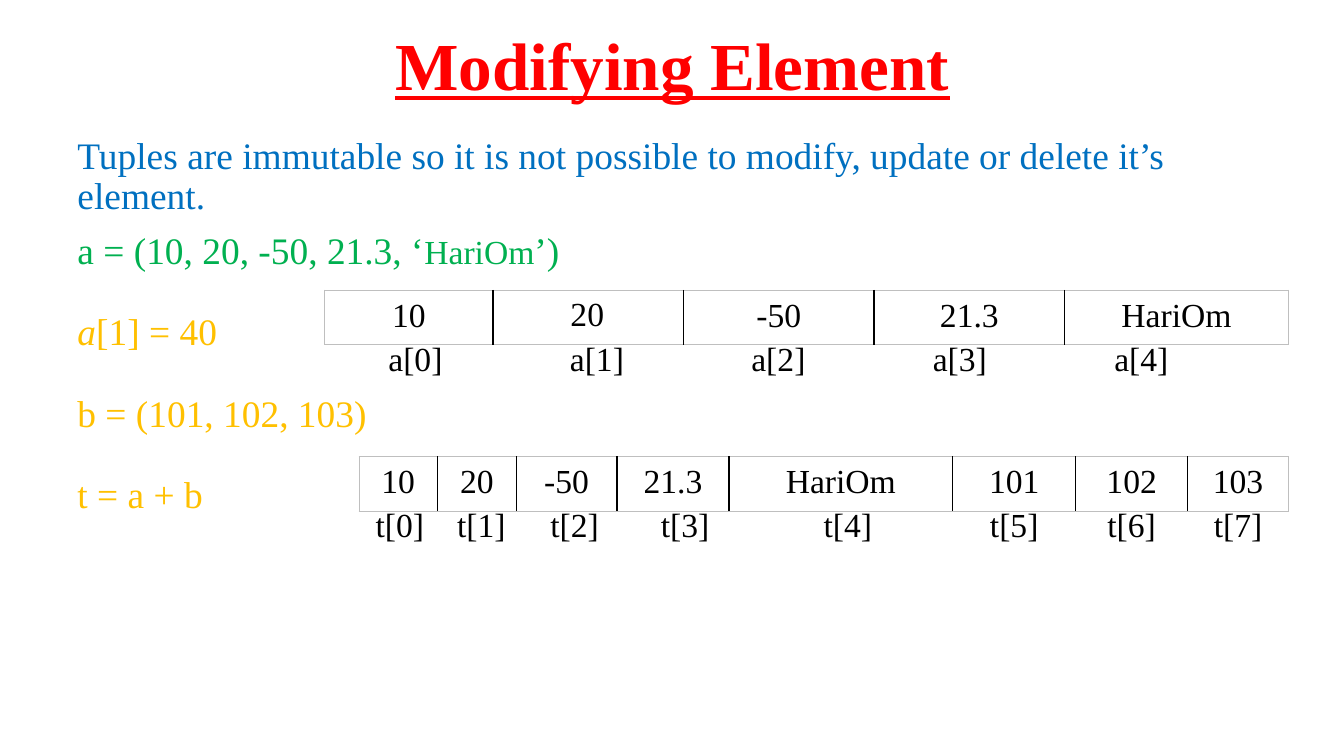
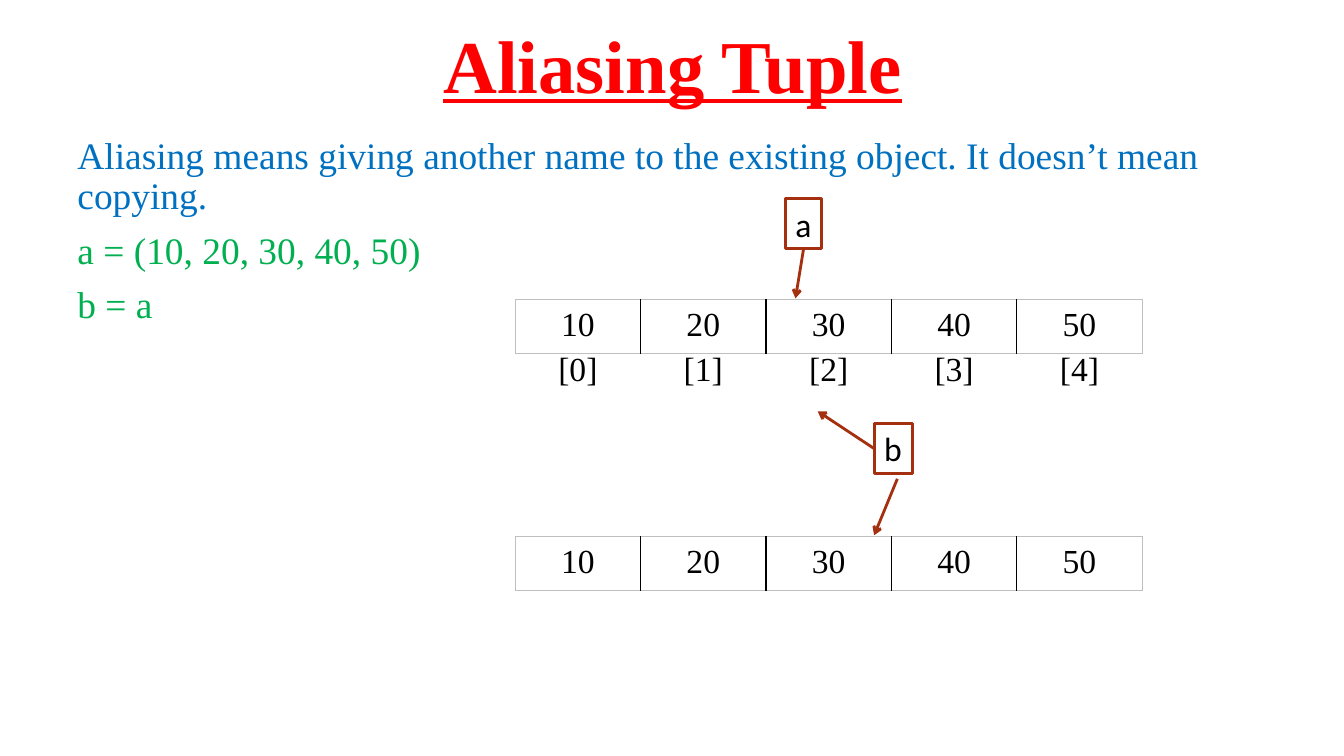
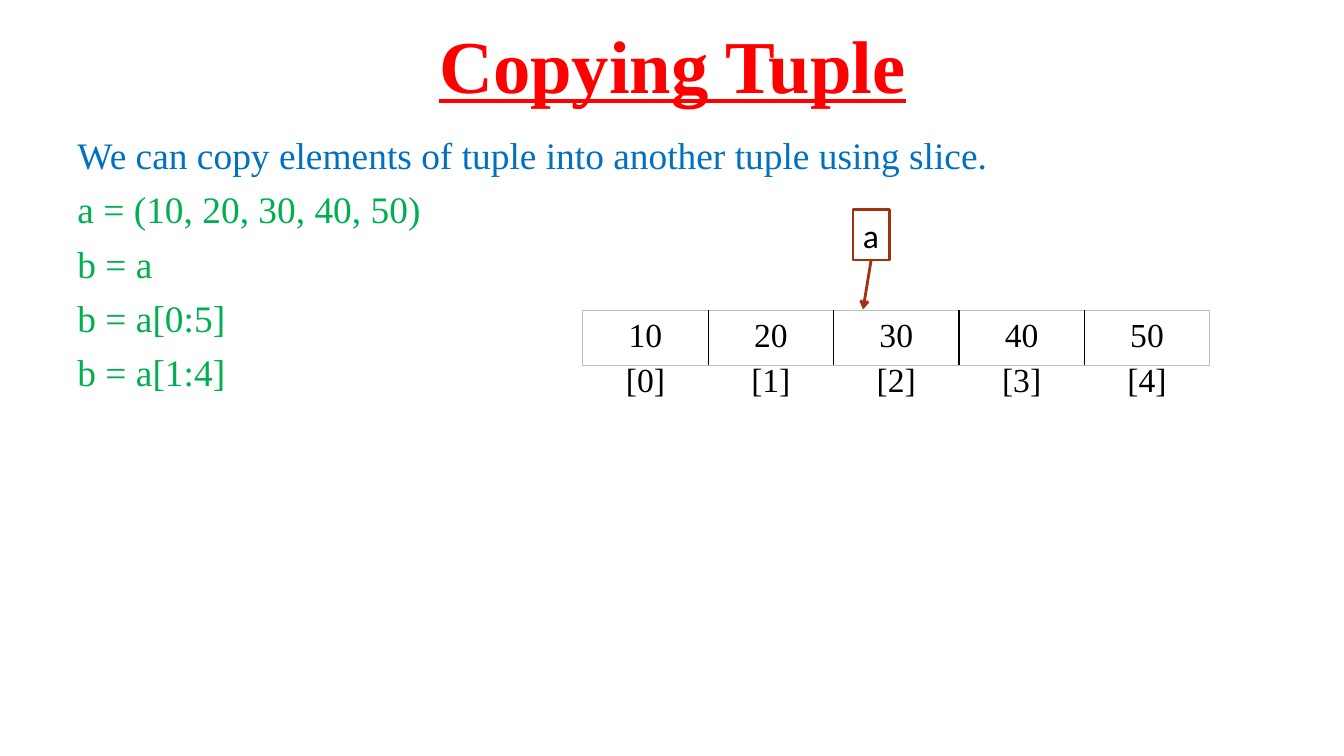
from dataclasses import dataclass

from lxml.etree import SubElement
from pptx import Presentation
from pptx.dml.color import RGBColor
from pptx.enum.shapes import MSO_CONNECTOR, MSO_SHAPE
from pptx.enum.text import MSO_ANCHOR, PP_ALIGN
from pptx.oxml.ns import qn
from pptx.shapes.autoshape import Shape
from pptx.slide import Slide
from pptx.table import _Cell
from pptx.text.text import TextFrame
from pptx.util import Inches, Pt

SERIF = "Times New Roman"
SANS = "Calibri"
RED = "FF0000"
BLUE = "0070C0"
GREEN = "00B050"
GOLD = "FFC000"
RUST = "A5300F"
BLACK = "000000"
WHITE = "FFFFFF"
GREY = "BFBFBF"
PLAIN_TABLE_STYLE = "{2D5ABB26-0587-4C30-8999-92F81FD0307C}"
ROW_HEIGHT = 0.54
INDEX_DROP = 0.45
TUPLE_WIDTH = 6.22
TENS = ("10", "20", "30", "40", "50")
BOTTOM, LEFT = 2, 1


@dataclass(frozen=True)
class Run:
    text: str
    color: str
    size: float = 26.7
    font: str = SERIF
    bold: bool = False
    italic: bool = False
    underline: bool = False


@dataclass(frozen=True)
class Line:
    runs: tuple[Run, ...]
    spacing: float = 0.9
    before: float = 10
    alignment: PP_ALIGN = PP_ALIGN.LEFT


@dataclass(frozen=True)
class Row:
    left: float
    top: float
    widths: tuple[float, ...]
    values: tuple[str, ...]
    bordered: bool = True


def rgb(color: str) -> RGBColor:
    return RGBColor.from_string(color)


def set_attributes(target: object, values: dict[str, object]) -> None:
    for name, value in values.items():
        setattr(target, name, value)


def write_lines(frame: TextFrame, lines: tuple[Line, ...]) -> None:
    for index, line in enumerate(lines):
        paragraph = frame.add_paragraph() if index else frame.paragraphs[0]
        set_attributes(paragraph, {
            "alignment": line.alignment,
            "line_spacing": line.spacing,
            "space_before": Pt(line.before),
        })
        for part in line.runs:
            run = paragraph.add_run()
            run.text = part.text
            set_attributes(run.font, {
                "name": part.font,
                "size": Pt(part.size),
                "bold": part.bold,
                "italic": part.italic,
                "underline": part.underline,
            })
            run.font.color.rgb = rgb(part.color)


def label(text: str, font: str = SERIF, alignment: PP_ALIGN = PP_ALIGN.LEFT) -> tuple[Line, ...]:
    return (Line((Run(text, BLACK, 24, font),), 1.0, 0, alignment),)


def add_text(slide: Slide, left: float, top: float, width: float, height: float,
             lines: tuple[Line, ...], anchor: MSO_ANCHOR = MSO_ANCHOR.TOP, wrap: bool = True) -> None:
    shape = slide.shapes.add_textbox(Inches(left), Inches(top), Inches(width), Inches(height))
    set_attributes(shape.text_frame, {"word_wrap": wrap, "vertical_anchor": anchor})
    write_lines(shape.text_frame, lines)


def add_page(presentation: Presentation, title: str, title_size: float, lines: tuple[Line, ...]) -> Slide:
    slide = presentation.slides.add_slide(presentation.slide_layouts[6])
    heading = Run(title, RED, title_size, bold=True, underline=True)
    add_text(slide, 0.67, 0.06, 12, 1.25,
             (Line((heading,), before=0, alignment=PP_ALIGN.CENTER),), MSO_ANCHOR.MIDDLE)
    add_text(slide, 0.67, 1.31, 12, 5.22, lines)
    return slide


def draw_borders(cell: _Cell, first: bool, last: bool) -> None:
    properties = cell._tc.get_or_add_tcPr()
    for side, outer in {"L": first, "R": last, "T": True, "B": True}.items():
        border = SubElement(properties, qn(f"a:ln{side}"), w=str(Pt(0.5 if outer else 1)))
        fill = SubElement(border, qn("a:solidFill"))
        SubElement(fill, qn("a:srgbClr"), val=GREY if outer else BLACK)


def add_row(slide: Slide, row: Row) -> None:
    frame = slide.shapes.add_table(1, len(row.values), Inches(row.left), Inches(row.top),
                                   Inches(sum(row.widths)), Inches(ROW_HEIGHT))
    table = frame.table
    set_attributes(table, {"first_row": False, "horz_banding": False})
    table._tbl.tblPr.find(qn("a:tableStyleId")).text = PLAIN_TABLE_STYLE
    for index, (value, width) in enumerate(zip(row.values, row.widths)):
        table.columns[index].width = Inches(width)
        cell = table.cell(0, index)
        set_attributes(cell, {
            "margin_left": Inches(0.13),
            "margin_right": Inches(0.13),
            "margin_top": Inches(0.07),
            "margin_bottom": Inches(0.07),
        })
        if row.bordered:
            draw_borders(cell, index == 0, index == len(row.values) - 1)
        cell.fill.background()
        write_lines(cell.text_frame, label(value, alignment=PP_ALIGN.CENTER))


def indices(name: str, count: int) -> tuple[str, ...]:
    return tuple(f"{name}[{index}]" for index in range(count))


def add_name_box(slide: Slide, name: str, left: float, top: float, width: float) -> Shape:
    box = slide.shapes.add_shape(MSO_SHAPE.RECTANGLE, Inches(left), Inches(top), Inches(width), Inches(0.5))
    box.shadow.inherit = False
    box.fill.solid()
    box.fill.fore_color.rgb = rgb(WHITE)
    box.line.color.rgb = rgb(RUST)
    box.line.width = Pt(2)
    set_attributes(box.text_frame, {"word_wrap": False, "vertical_anchor": MSO_ANCHOR.TOP})
    write_lines(box.text_frame, label(name, SANS))
    return box


def add_arrow(slide: Slide, start: tuple[float, float], end: tuple[float, float],
              box: Shape | None = None, side: int = BOTTOM) -> None:
    arrow = slide.shapes.add_connector(MSO_CONNECTOR.STRAIGHT, *map(Inches, start + end))
    if box is not None:
        arrow.begin_connect(box, side)
    arrow.line.color.rgb = rgb(RUST)
    arrow.line.width = Pt(2)
    SubElement(arrow.line._get_or_add_ln(), qn("a:tailEnd"), type="arrow")
    SubElement(arrow._element.spPr, qn("a:effectLst"))


def add_tuple(slide: Slide, left: float, top: float, indexed: bool = True) -> None:
    widths = (TUPLE_WIDTH / len(TENS),) * len(TENS)
    add_row(slide, Row(left, top, widths, TENS))
    if indexed:
        add_row(slide, Row(left, top + INDEX_DROP, widths, indices("", len(TENS)), False))


def add_named_tuple(slide: Slide, left: float, top: float) -> None:
    box = add_name_box(slide, "a", left + 2.68, top - 1, 0.36)
    add_arrow(slide, (left + 2.86, top - 0.5), (left + 2.78, top - 0.01), box)
    add_tuple(slide, left, top)


def code_lines(color: str, spacing: float, *texts: str) -> tuple[Line, ...]:
    return tuple(Line((Run(text, color),), spacing) for text in texts)


def build_modifying(presentation: Presentation) -> None:
    slide = add_page(presentation, "Modifying Element", 48, (
        *code_lines(BLUE, 0.9, "Tuples are immutable so it is not possible to modify, update or delete it’s element."),
        Line((Run("a = (10, 20, -50, 21.3, ‘", GREEN), Run("HariOm", GREEN, 24), Run("’)", GREEN))),
        Line((Run("a", GOLD, italic=True), Run("[1] = 40", GOLD)), 1.5),
        *code_lines(GOLD, 1.5, "b = (101, 102, 103)", "t = a + b"),
    ))
    rows = (
        Row(3.22, 2.88, (1.67, 1.89, 1.89, 1.89, 2.22), ("10", "", "-50", "21.3", "HariOm")),
        Row(3.22, 3.32, (1.8,) * 5, indices("a", 5), False),
        Row(3.56, 4.53, (0.78, 0.78, 1, 1.11, 2.22, 1.22, 1.11, 1),
            ("10", "20", "-50", "21.3", "HariOm", "101", "102", "103")),
        Row(3.56, 4.97, (0.81, 0.81, 1.04, 1.15, 2.08, 1.22, 1.11, 1), indices("t", 8), False),
    )
    for row in rows:
        add_row(slide, row)
    add_text(slide, 5.56, 2.86, 0.54, 0.5, label("20"), wrap=False)


def build_aliasing(presentation: Presentation) -> None:
    slide = add_page(presentation, "Aliasing Tuple", 53.3, (
        *code_lines(BLUE, 0.9, "Aliasing means giving another name to the existing object. It doesn’t mean copying."),
        *code_lines(GREEN, 0.9, "a = (10, 20, 30, 40, 50)", "b = a"),
    ))
    add_named_tuple(slide, 5.11, 2.97)
    box = add_name_box(slide, "b", 8.67, 4.2, 0.38)
    add_arrow(slide, (8.9, 4.75), (8.67, 5.31))
    add_arrow(slide, (8.67, 4.45), (8.11, 4.08), box, LEFT)
    add_tuple(slide, 5.11, 5.32, indexed=False)


def build_copying(presentation: Presentation) -> None:
    slide = add_page(presentation, "Copying Tuple", 53.3, (
        *code_lines(BLUE, 0.9, "We can copy elements of tuple into another tuple using slice."),
        *code_lines(GREEN, 0.9, "a = (10, 20, 30, 40, 50)", "b = a", "b = a[0:5]", "b = a[1:4]"),
    ))
    add_named_tuple(slide, 5.78, 3.08)


def main() -> None:
    presentation = Presentation()
    presentation.slide_width = Inches(13.33)
    presentation.slide_height = Inches(7.5)
    for build in (build_modifying, build_aliasing, build_copying):
        build(presentation)
    presentation.save("out.pptx")


if __name__ == "__main__":
    main()
